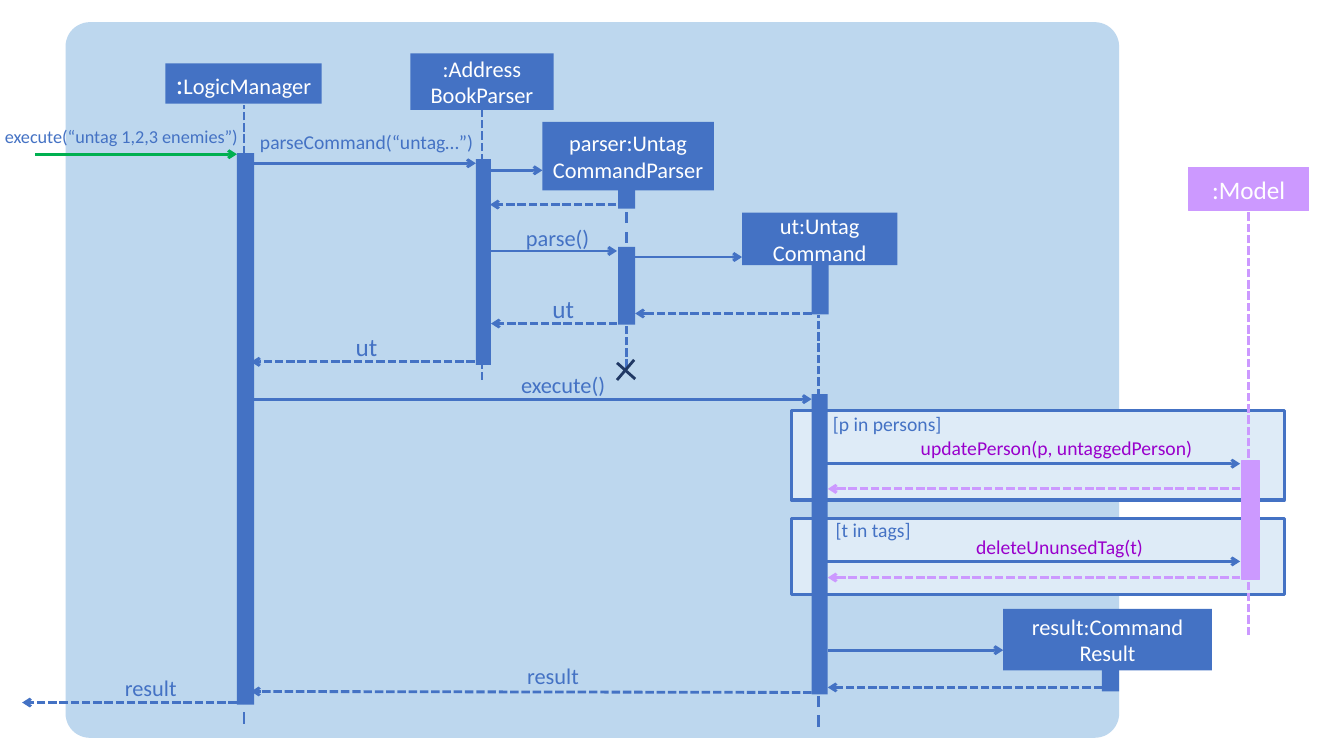
from lxml.etree import SubElement
from pptx import Presentation
from pptx.dml.color import RGBColor
from pptx.enum.dml import MSO_LINE
from pptx.enum.shapes import MSO_CONNECTOR, MSO_SHAPE
from pptx.enum.text import MSO_ANCHOR, PP_ALIGN
from pptx.oxml.ns import qn
from pptx.util import Inches, Pt

COLORS = {
    "blue": "4472C4", "panel": "BDD7EE", "frame": "DEEBF7", "navy": "203864",
    "green": "00B050", "lilac": "CC99FF", "purple": "9900CC", "white": "FFFFFF",
}
SOLID, DOT, DASH = MSO_LINE.SOLID, MSO_LINE.SQUARE_DOT, MSO_LINE.DASH


def rgb(name):
    return RGBColor.from_string(COLORS[name])


def write(frame, text, size=16, color="blue", align=PP_ALIGN.CENTER, first=None):
    """Fill a text frame; first sets the size of the leading character."""
    frame.word_wrap = True
    for row, line in enumerate(text.split("\n")):
        para = frame.paragraphs[0] if row == 0 else frame.add_paragraph()
        para.alignment = align
        parts = [(line[:1], first), (line[1:], size)] if first else [(line, size)]
        for part, points in parts:
            run = para.add_run()
            run.text = part
            run.font.name = "Calibri"
            run.font.size = Pt(points)
            run.font.color.rgb = rgb(color)


def box(slide, place, fill="blue", edge=None, width=1, kind=MSO_SHAPE.RECTANGLE):
    shape = slide.shapes.add_shape(kind, *map(Inches, place))
    shape.shadow.inherit = False
    shape.fill.solid()
    shape.fill.fore_color.rgb = rgb(fill)
    if edge:
        shape.line.color.rgb = rgb(edge)
        shape.line.width = Pt(width)
    else:
        shape.line.fill.background()
    return shape


def head(slide, place, text, fill="blue", edge=None, **form):
    shape = box(slide, place, fill, edge)
    frame = shape.text_frame
    frame.margin_left = frame.margin_right = Inches(0.05)
    frame.vertical_anchor = MSO_ANCHOR.MIDDLE
    write(frame, text, color="white", **form)


def label(slide, place, text, **form):
    shape = slide.shapes.add_textbox(*map(Inches, place))
    write(shape.text_frame, text, **form)


def line(slide, start, end, color="blue", dash=SOLID, arrow=False):
    link = slide.shapes.add_connector(
        MSO_CONNECTOR.STRAIGHT, *map(Inches, (*start, *end)))
    link.line.color.rgb = rgb(color)
    link.line.width = Pt(2)
    link.line.dash_style = dash
    if arrow:
        SubElement(link.line._get_or_add_ln(), qn("a:tailEnd"), type="arrow")
    SubElement(link._element.spPr, qn("a:effectLst"))


def call(slide, x1, x2, y, color="blue"):
    line(slide, (x1, y), (x2, y), color, arrow=True)


def reply(slide, x1, x2, y, color="blue"):
    line(slide, (x1, y), (x2, y), color, DOT, True)


def main():
    deck = Presentation()
    deck.slide_width, deck.slide_height = Inches(13.33), Inches(7.5)
    slide = deck.slides.add_slide(deck.slide_layouts[6])

    # Logic panel and loop frames
    panel = box(slide, (0.65, 0.22, 10.45, 7.1), "panel",
                kind=MSO_SHAPE.ROUNDED_RECTANGLE)
    panel.adjustments[0] = 0.034
    for top, high in ((4.07, 0.89), (5.14, 0.76)):
        box(slide, (7.85, top, 4.89, high), "frame", "blue", 2.25)

    # Lifelines
    for x, top, end, dash in (
            (2.42, 1.04, 1.53, DOT), (2.42, 6.94, 7.18, DASH),
            (4.78, 1.08, 1.61, DOT), (4.78, 3.55, 3.77, DOT),
            (6.21, 2.01, 2.8, DASH), (6.21, 3.22, 3.65, DOT),
            (8.12, 3.13, 4.05, DOT), (8.12, 6.81, 7.21, DASH)):
        line(slide, (x, end), (x, top), dash=dash)
    for top, end in ((2.09, 4.54), (4.91, 6.3)):
        line(slide, (12.38, end), (12.38, top), "lilac", DOT)

    # Activation bars
    for place in ((2.35, 1.52, 0.17, 5.47), (4.72, 1.58, 0.15, 2.04),
                  (6.13, 1.84, 0.17, 0.23), (6.13, 2.45, 0.17, 0.77),
                  (8.05, 2.63, 0.17, 0.49), (8.05, 3.91, 0.16, 2.98),
                  (10.93, 6.63, 0.17, 0.23)):
        box(slide, place)
    box(slide, (12.32, 4.57, 0.17, 1.18), "lilac", "lilac")

    # Object heads
    head(slide, (1.64, 0.63, 1.55, 0.4), ":LogicManager", first=20)
    for place, text in (
            ((4.07, 0.53, 1.42, 0.56), ":Address\nBookParser"),
            ((5.38, 1.21, 1.7, 0.68), "parser:Untag\nCommandParser"),
            ((7.36, 2.11, 1.54, 0.52), "ut:Untag\nCommand"),
            ((9.95, 6.04, 2.07, 0.61), "result:Command\nResult")):
        head(slide, place, text)
    head(slide, (11.79, 1.66, 1.19, 0.43), ":Model", "lilac", "lilac", size=18)

    # Calls
    call(slide, 0.35, 2.35, 1.53, "green")
    for x1, x2, y in (
            (2.49, 4.72, 1.62), (4.86, 5.38, 1.69), (4.86, 6.12, 2.49),
            (6.3, 7.36, 2.55), (2.49, 8.05, 3.96), (8.2, 12.3, 4.6),
            (8.2, 12.3, 5.57), (8.21, 9.95, 6.45)):
        call(slide, x1, x2, y)

    # Replies
    for x1, x2, y in (
            (6.11, 4.86, 2.03), (8.05, 6.3, 3.11), (6.12, 4.87, 3.21),
            (4.71, 2.49, 3.59), (10.93, 8.21, 6.82), (2.35, 0.22, 6.97)):
        reply(slide, x1, x2, y)
    line(slide, (8.05, 6.87), (2.49, 6.86), dash=DOT, arrow=True)
    for y in (4.85, 5.73):
        reply(slide, 12.3, 8.21, y, "lilac")

    # Cross that ends the parser
    line(slide, (6.12, 3.6), (6.3, 3.76), "navy")
    line(slide, (6.29, 3.57), (6.12, 3.77), "navy")

    # Message labels
    left = PP_ALIGN.LEFT
    label(slide, (-0.05, 1.19, 2.74, 0.32), "execute(“untag 1,2,3 enemies”)",
          size=13, align=left)
    label(slide, (2.48, 1.24, 2.51, 0.34), "parseCommand(“untag…”)",
          size=14, align=left)
    for place in ((3.43, 3.24, 0.46, 0.4), (5.38, 2.86, 0.48, 0.4)):
        label(slide, place, "ut", size=18, align=left)
    for place, text in (
            ((5.07, 2.17, 0.92, 0.37), "parse()"),
            ((4.4, 3.63, 2.37, 0.37), "execute()"),
            ((4.3, 6.52, 2.37, 0.37), "result"),
            ((1.09, 6.64, 0.81, 0.37), "result")):
        label(slide, place, text)
    for x, y, wide, text, color in (
            (7.74, 4.04, 2.12, "[p in persons]", "blue"),
            (7.6, 5.09, 2.12, "[t in tags]", "blue"),
            (8.6, 4.28, 3.76, "updatePerson(p, untaggedPerson)", "purple"),
            (8.63, 5.26, 3.76, "deleteUnunsedTag(t)", "purple")):
        label(slide, (x, y, wide, 0.34), text, size=14, color=color)

    deck.save("out.pptx")


if __name__ == "__main__":
    main()
